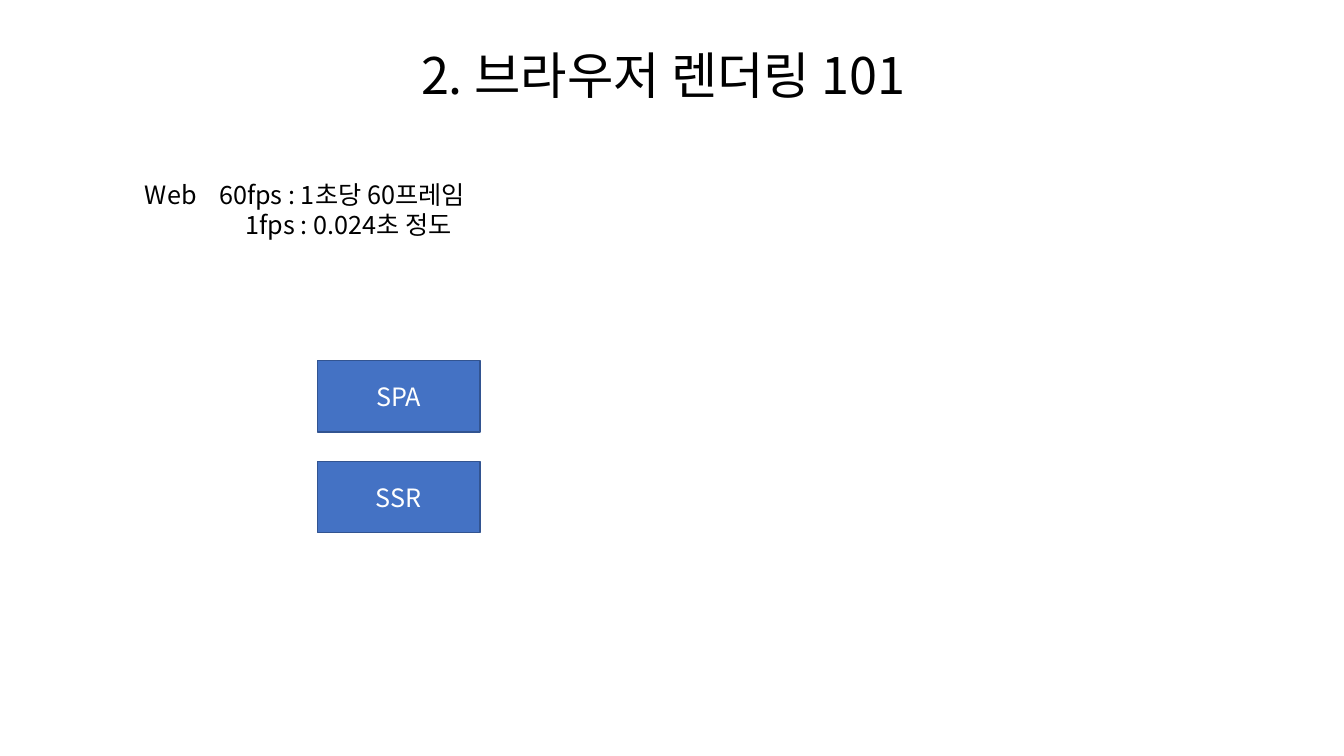
from dataclasses import dataclass

from pptx import Presentation
from pptx.dml.color import RGBColor
from pptx.enum.shapes import MSO_SHAPE
from pptx.enum.text import MSO_ANCHOR, PP_ALIGN
from pptx.oxml.xmlchemy import OxmlElement
from pptx.slide import Slide
from pptx.text.text import TextFrame, _Paragraph
from pptx.util import Pt

RECTANGLE = MSO_SHAPE.RECTANGLE
TOP, MIDDLE = MSO_ANCHOR.TOP, MSO_ANCHOR.MIDDLE
LEFT, CENTER = PP_ALIGN.LEFT, PP_ALIGN.CENTER


@dataclass(frozen=True)
class Theme:
    """Font, type sizes and colours of the slide."""
    font: str = "Noto Sans CJK KR"
    title_size: float = 36
    body_size: float = 18
    ink: RGBColor = RGBColor(0, 0, 0)
    box_text: RGBColor = RGBColor(255, 255, 255)
    box_fill: RGBColor = RGBColor(0x44, 0x72, 0xC4)
    box_line: RGBColor = RGBColor(0x32, 0x54, 0x91)


@dataclass(frozen=True)
class Area:
    """Place and size in points."""
    left: float
    top: float
    width: float
    height: float

    def lengths(self) -> tuple[Pt, Pt, Pt, Pt]:
        """Return the four measures as lengths."""
        return Pt(self.left), Pt(self.top), Pt(self.width), Pt(self.height)


THEME = Theme()
TITLE_AREA = Area(113.76, 24, 720, 64)
FRAME_RATE_AREA = Area(96.5, 124.5, 266.4, 51)
FRAME_RATE_TAB = 53
FRAME_TIME_INDENT = 72
RENDERING_MODES = ("SPA", "SSR")
FIRST_MODE_AREA = Area(226.8, 257.5, 116, 51)
MODE_PITCH = 72


def style_paragraph(paragraph: _Paragraph, size: float, color: RGBColor,
                    align: PP_ALIGN) -> None:
    """Set alignment and the Latin and East Asian font."""
    paragraph.alignment = align
    font = paragraph.font
    font.name, font.size = THEME.font, Pt(size)
    font.color.rgb = color
    east_asian = OxmlElement("a:ea")
    east_asian.set("typeface", THEME.font)
    paragraph._p.pPr.find(".//{*}latin").addnext(east_asian)


def fill_frame(frame: TextFrame, text: str, size: float, color: RGBColor,
               align: PP_ALIGN, anchor: MSO_ANCHOR) -> None:
    """Write the lines of text into a frame in one style."""
    frame.word_wrap = True
    frame.vertical_anchor = anchor
    frame.text = text
    for paragraph in frame.paragraphs:
        style_paragraph(paragraph, size, color, align)


def set_tab_stop(paragraph: _Paragraph, position: float) -> None:
    """Give a paragraph one left tab stop."""
    stops = OxmlElement("a:tabLst")
    stop = OxmlElement("a:tab")
    stop.set("pos", str(Pt(position)))
    stop.set("algn", "l")
    stops.append(stop)
    paragraph._p.pPr.find("{*}defRPr").addprevious(stops)


def add_title(slide: Slide) -> None:
    """Add the centred slide title."""
    frame = slide.shapes.add_textbox(*TITLE_AREA.lengths()).text_frame
    fill_frame(frame, "2. 브라우저 렌더링 101", THEME.title_size, THEME.ink,
               CENTER, MIDDLE)
    frame.paragraphs[0].line_spacing = 0.9


def add_frame_rate(slide: Slide) -> None:
    """Add the frame rate note with its indented second line."""
    frame = slide.shapes.add_textbox(*FRAME_RATE_AREA.lengths()).text_frame
    fill_frame(frame, "Web\t60fps : 1초당 60프레임\n1fps : 0.024초 정도",
               THEME.body_size, THEME.ink, LEFT, TOP)
    rate, frame_time = frame.paragraphs
    set_tab_stop(rate, FRAME_RATE_TAB)
    frame_time._p.pPr.set("marL", str(Pt(FRAME_TIME_INDENT)))


def add_mode(slide: Slide, label: str, area: Area) -> None:
    """Add one labelled rendering mode box."""
    box = slide.shapes.add_shape(RECTANGLE, *area.lengths())
    box.shadow.inherit = False
    box.fill.solid()
    box.fill.fore_color.rgb = THEME.box_fill
    box.line.color.rgb = THEME.box_line
    box.line.width = Pt(1)
    fill_frame(box.text_frame, label, THEME.body_size, THEME.box_text,
               CENTER, MIDDLE)


def main() -> None:
    """Build and save the slide."""
    deck = Presentation()
    deck.slide_width, deck.slide_height = Pt(960), Pt(540)
    slide = deck.slides.add_slide(deck.slide_layouts[6])
    add_title(slide)
    add_frame_rate(slide)
    first = FIRST_MODE_AREA
    for index, label in enumerate(RENDERING_MODES):
        top = first.top + index * MODE_PITCH
        add_mode(slide, label, Area(first.left, top, first.width, first.height))
    deck.save("out.pptx")


main()
